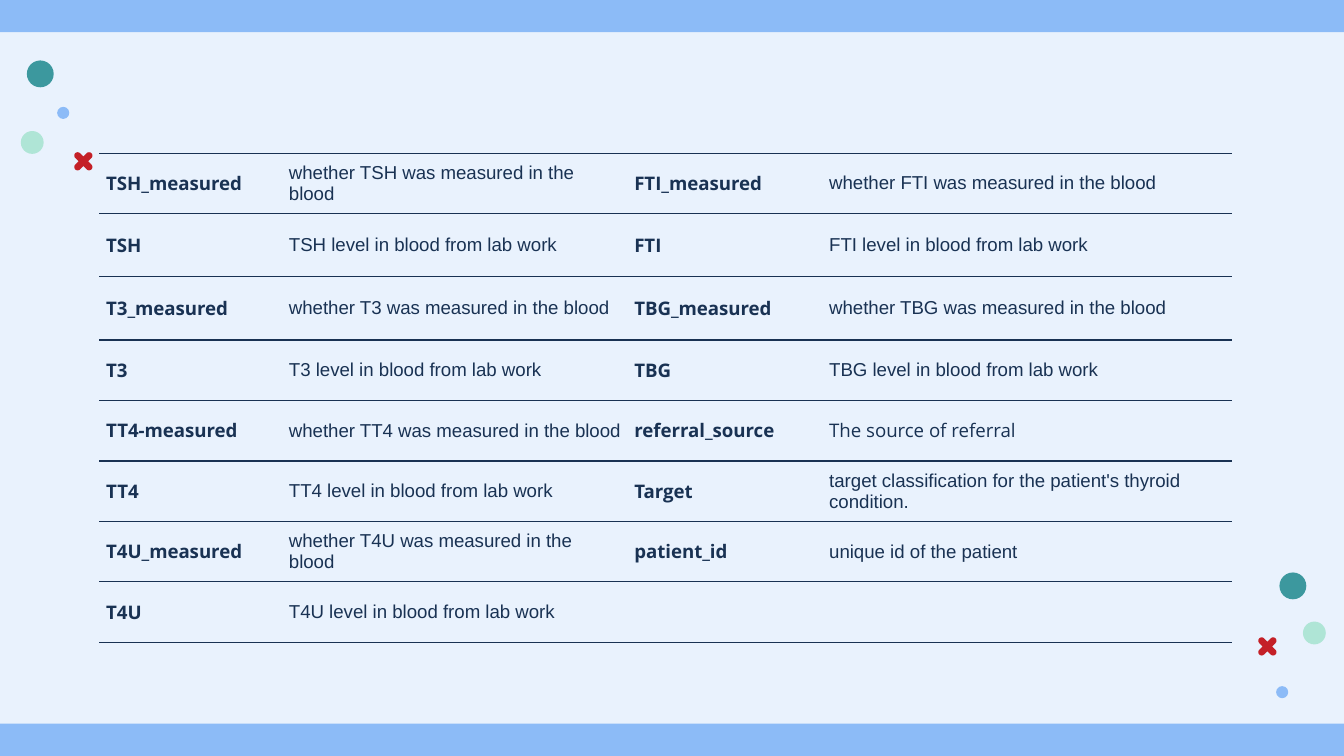
import dataclasses
import math

import lxml.etree
import pptx
import pptx.dml.color
import pptx.enum.shapes
import pptx.enum.text
import pptx.oxml.ns
import pptx.util

Inches = pptx.util.Inches
Pt = pptx.util.Pt
SHAPE = pptx.enum.shapes.MSO_SHAPE

WIDTH = Inches(10)
HEIGHT = WIDTH * 9 // 16
BAR = Inches(0.24)

COLORS = {
    "page": "E9F2FD",
    "blue": "8CBBF7",
    "mint": "AFE5D6",
    "teal": "3C989E",
    "red": "C42027",
    "navy": "193253",
}


@dataclasses.dataclass(frozen=True)
class Dot:
    x: float
    y: float
    size: float
    color: str


@dataclasses.dataclass(frozen=True)
class Cross:
    x: float
    y: float


@dataclasses.dataclass(frozen=True)
class Entry:
    name: str
    note: str
    font: str = "Arial"


DOTS = [
    Dot(9.78, 4.71, 0.17, "mint"),
    Dot(9.54, 5.15, 0.09, "blue"),
    Dot(9.62, 4.36, 0.2, "teal"),
    Dot(0.24, 1.06, 0.17, "mint"),
    Dot(0.47, 0.84, 0.09, "blue"),
    Dot(0.3, 0.55, 0.2, "teal"),
]
CROSSES = [Cross(9.43, 4.81), Cross(0.62, 1.2)]

LEFT = [
    Entry("TSH_measured", "whether TSH was measured in the blood"),
    Entry("TSH", "TSH level in blood from lab work"),
    Entry("T3_measured", "whether T3 was measured in the blood"),
    Entry("T3", "T3 level in blood from lab work"),
    Entry("TT4-measured", "whether TT4 was measured in the blood"),
    Entry("TT4", "TT4 level in blood from lab work"),
    Entry("T4U_measured", "whether T4U was measured in the blood"),
    Entry("T4U", "T4U level in blood from lab work"),
]
RIGHT = [
    Entry("FTI_measured", "whether FTI was measured in the blood"),
    Entry("FTI", "FTI level in blood from lab work"),
    Entry("TBG_measured", "whether TBG was measured in the blood"),
    Entry("TBG", "TBG level in blood from lab work"),
    Entry("referral_source", "The source of referral", "Open Sans"),
    Entry("Target", "target classification for the patient's thyroid condition."),
    Entry("patient_id", "unique id of the patient"),
]
COLS = [1.36, 2.57, 1.45, 3.05]
ROWS = [0.45, 0.47, 0.47] + [0.45] * 5
CELL = {
    "margin_left": Inches(0.05),
    "margin_right": Inches(0.05),
    "margin_top": Inches(0.05),
    "margin_bottom": Inches(0.05),
    "vertical_anchor": pptx.enum.text.MSO_ANCHOR.MIDDLE,
}


def tint(name: str) -> pptx.dml.color.RGBColor:
    return pptx.dml.color.RGBColor.from_string(COLORS[name])


def style(item, values: dict) -> None:
    for key, value in values.items():
        setattr(item, key, value)


def paint(shape, color: str) -> None:
    shape.shadow.inherit = False
    shape.fill.solid()
    shape.fill.fore_color.rgb = tint(color)
    shape.line.fill.background()


def add_bar(slide, top: int) -> None:
    bar = slide.shapes.add_shape(SHAPE.RECTANGLE, 0, top, WIDTH, BAR)
    paint(bar, "blue")


def add_dot(slide, dot: Dot) -> None:
    half = dot.size / 2
    oval = slide.shapes.add_shape(
        SHAPE.OVAL, Inches(dot.x - half), Inches(dot.y - half),
        Inches(dot.size), Inches(dot.size))
    paint(oval, dot.color)


def add_cross(slide, cross: Cross, reach: float = 0.06, half: float = 0.025) -> None:
    """Draw four diagonal arms with round tips and sharp inner corners."""
    points = []

    def put(x: float, y: float) -> None:
        points.append((Inches(cross.x + x), Inches(cross.y + y)))

    for arm in range(45, 360, 90):
        turn = math.radians(arm)
        for step in range(-90, 91, 15):
            bend = math.radians(arm + step)
            put(reach * math.cos(turn) + half * math.cos(bend),
                reach * math.sin(turn) + half * math.sin(bend))
        notch = math.radians(arm + 45)
        put(half * math.sqrt(2) * math.cos(notch),
            half * math.sqrt(2) * math.sin(notch))
    outline = slide.shapes.build_freeform(*points[0])
    outline.add_line_segments(points[1:], close=True)
    paint(outline.convert_to_shape(), "red")


def rule_cell(cell) -> None:
    """Leave the cell clear, with lines above and below only."""
    cell.fill.background()
    props = cell._tc.get_or_add_tcPr()
    qn = pptx.oxml.ns.qn
    for index, side in enumerate(["lnL", "lnR", "lnT", "lnB"]):
        line = lxml.etree.Element(qn(f"a:{side}"), w=str(Pt(0.75)))
        if side in ("lnT", "lnB"):
            fill = lxml.etree.SubElement(line, qn("a:solidFill"))
            lxml.etree.SubElement(fill, qn("a:srgbClr"), val=COLORS["navy"])
        else:
            lxml.etree.SubElement(line, qn("a:noFill"))
        props.insert(index, line)


def write(cell, text: str, font: str, bold: bool) -> None:
    run = cell.text_frame.paragraphs[0].add_run()
    run.text = text
    style(run.font, {"name": font, "size": Pt(10), "bold": bold})
    run.font.color.rgb = tint("navy")


def add_terms(slide) -> None:
    frame = slide.shapes.add_table(
        len(ROWS), len(COLS), Inches(0.74), Inches(1.14),
        Inches(sum(COLS)), Inches(sum(ROWS)))
    table = frame.table
    style(table, {"first_row": False, "horz_banding": False})
    for col, width in zip(table.columns, COLS):
        col.width = Inches(width)
    for row, height in zip(table.rows, ROWS):
        row.height = Inches(height)
    for cell in table.iter_cells():
        style(cell, CELL)
        rule_cell(cell)
    for col, entries in ((0, LEFT), (2, RIGHT)):
        for row, entry in enumerate(entries):
            write(table.cell(row, col), entry.name, "Open Sans", True)
            write(table.cell(row, col + 1), entry.note, entry.font, False)


def main() -> None:
    deck = pptx.Presentation()
    style(deck, {"slide_width": WIDTH, "slide_height": HEIGHT})
    slide = deck.slides.add_slide(deck.slide_layouts[6])
    slide.background.fill.solid()
    slide.background.fill.fore_color.rgb = tint("page")
    for dot in DOTS:
        add_dot(slide, dot)
    for cross in CROSSES:
        add_cross(slide, cross)
    for top in (0, HEIGHT - BAR):
        add_bar(slide, top)
    add_terms(slide)
    deck.save("out.pptx")


if __name__ == "__main__":
    main()
